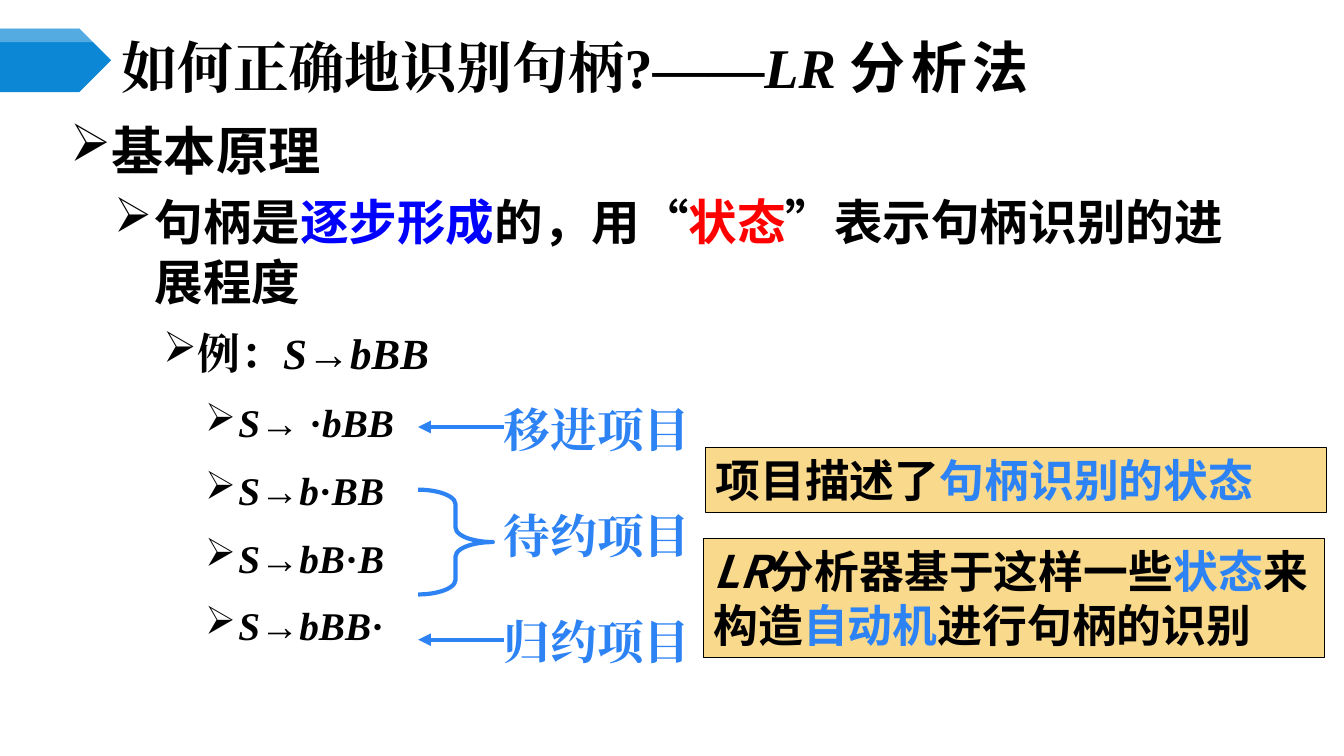
import lxml.etree
import pptx
import pptx.dml.color
import pptx.enum.shapes
import pptx.enum.text
import pptx.oxml
import pptx.oxml.ns
import pptx.util

Cm = pptx.util.Cm
Pt = pptx.util.Pt
SHAPES = pptx.enum.shapes.MSO_SHAPE
COLORS = {
    "black": "000000", "white": "FFFFFF", "red": "FF0000", "blue": "0000FF",
    "accent": "2D83F4", "banner": "0B87D6", "box": "F9D98C",
}
SANS = "Noto Sans CJK SC"
SERIF = "Times New Roman"
LEVELS = [
    {"size": 37.3, "margin": 1.02, "hanging": 1.02},
    {"size": 34.7, "margin": 2.13, "hanging": 1.02},
    {"size": 30.7, "margin": 3.18, "hanging": 0.84},
    {"size": 28, "margin": 4.24, "hanging": 0.84},
]


def rgb(name):
    return pptx.dml.color.RGBColor.from_string(COLORS[name])


def add_xml(parent, tag, **attributes):
    element = lxml.etree.SubElement(parent, pptx.oxml.ns.qn(tag))
    for key, value in attributes.items():
        element.set(key, str(value))
    return element


def add_run(paragraph, text, size=32, font=SANS, color="black", italic=False, spacing=0):
    run = paragraph.add_run()
    run.text = text
    run.font.size = Pt(size)
    run.font.bold = True
    run.font.italic = italic
    run.font.name = font
    run.font.color.rgb = rgb(color)
    properties = run.font._element
    add_xml(properties, "a:ea", typeface=font)
    if spacing:
        properties.set("spc", str(spacing * 100))


def add_runs(paragraph, runs, **shared):
    for text, changes in runs:
        add_run(paragraph, text, **{**shared, **changes})


def formula(*parts):
    return [(part, {"font": SERIF, "italic": part.isalpha()}) for part in parts]


def add_bullet(text_frame, level, runs):
    first = not text_frame.paragraphs[0].runs
    paragraph = text_frame.paragraphs[0] if first else text_frame.add_paragraph()
    style = LEVELS[level]
    paragraph.level = level
    paragraph.line_spacing = Pt(42.7)
    paragraph.space_before = Pt(0 if first else style["size"] * 0.2)
    properties = paragraph._p.get_or_add_pPr()
    properties.set("marL", str(Cm(style["margin"])))
    properties.set("indent", str(-Cm(style["hanging"])))
    add_xml(properties, "a:buChar", char="➢")
    add_runs(paragraph, runs, size=style["size"])


def add_plain_shape(slide, kind, left, top, width, height, fill=None, line=None, weight=0.75):
    shape = slide.shapes.add_shape(kind, Cm(left), Cm(top), Cm(width), Cm(height))
    shape.shadow.inherit = False
    if fill:
        shape.fill.solid()
        shape.fill.fore_color.rgb = rgb(fill)
    else:
        shape.fill.background()
    if line:
        shape.line.color.rgb = rgb(line)
        shape.line.width = Pt(weight)
    else:
        shape.line.fill.background()
    return shape


def add_banner(slide):
    add_plain_shape(slide, SHAPES.PENTAGON, 0, 0.72, 2.8, 1.6, fill="banner")
    gloss = add_plain_shape(slide, SHAPES.PENTAGON, 0, 0.72, 2.8, 0.34, fill="white")
    color = gloss.fill._xPr.find(".//" + pptx.oxml.ns.qn("a:srgbClr"))
    add_xml(color, "a:alpha", val=30000)


def add_title(slide, runs):
    title = slide.shapes.title
    title.left, title.top, title.width, title.height = Cm(2.8), Cm(1), Cm(29.36), Cm(1.32)
    frame = title.text_frame
    frame.auto_size = pptx.enum.text.MSO_AUTO_SIZE.NONE
    frame.vertical_anchor = pptx.enum.text.MSO_ANCHOR.MIDDLE
    paragraph = frame.paragraphs[0]
    paragraph.alignment = pptx.enum.text.PP_ALIGN.LEFT
    add_runs(paragraph, runs, size=40, font=SERIF)


def add_text_box(slide, left, top, width, height):
    box = slide.shapes.add_textbox(Cm(left), Cm(top), Cm(width), Cm(height))
    box.text_frame.word_wrap = True
    return box


def add_label(slide, text, top):
    label = add_text_box(slide, 12.7, top, 5.1, 1.6)
    label.text_frame.margin_left = label.text_frame.margin_right = 0
    paragraph = label.text_frame.paragraphs[0]
    paragraph.line_spacing = Pt(40.3)
    add_run(paragraph, text, size=33.3, font=SERIF, color="accent")
    return label


def add_arrow(slide, label):
    middle = label.top + label.height // 2
    arrow = slide.shapes.add_connector(
        pptx.enum.shapes.MSO_CONNECTOR.STRAIGHT, label.left, middle, Cm(10.54), middle)
    arrow.begin_connect(label, 1)
    arrow.line.color.rgb = rgb("accent")
    arrow.line.width = Pt(3)
    add_xml(arrow.line._get_or_add_ln(), "a:tailEnd", type="triangle")
    add_xml(arrow._element.spPr, "a:effectLst")


def add_note(slide, left, top, height, runs):
    note = add_plain_shape(slide, SHAPES.RECTANGLE, left, top, 15.65, height,
                           fill="box", line="black")
    note.text_frame.word_wrap = True
    note.text_frame.vertical_anchor = pptx.enum.text.MSO_ANCHOR.TOP
    paragraph = note.text_frame.paragraphs[0]
    paragraph.alignment = pptx.enum.text.PP_ALIGN.LEFT
    paragraph.line_spacing = Pt(38.6)
    add_runs(paragraph, runs)


def main():
    presentation = pptx.Presentation()
    presentation.slide_width, presentation.slide_height = Cm(33.87), Cm(19.05)
    slide = presentation.slides.add_slide(presentation.slide_layouts[5])
    accent = {"color": "accent"}

    add_banner(slide)
    add_title(slide, [("如何正确地识别句柄?——", {}), ("LR ", {"italic": True}),
                      ("分析法", {"font": SANS, "spacing": 4})])

    body = add_text_box(slide, 1.52, 2.92, 30.76, 11.94).text_frame
    add_bullet(body, 0, [("基本原理", {})])
    add_bullet(body, 1, [("句柄是", {}), ("逐步形成", {"color": "blue"}), ("的，用“", {}),
                         ("状态", {"color": "red"}), ("”表示句柄识别的进展程度", {})])
    add_bullet(body, 2, [("例：", {"font": SERIF})] + formula("S", "→", "bBB"))
    for item in [("S", "→ ·", "bBB"), ("S", "→", "b", "·", "BB"),
                 ("S", "→", "bB", "·", "B"), ("S", "→", "bBB", "·")]:
        add_bullet(body, 3, formula(*item))

    labels = [add_label(slide, text, 9.96 + index * 2.68)
              for index, text in enumerate(["移进项目", "待约项目", "归约项目"])]
    add_arrow(slide, labels[0])
    add_arrow(slide, labels[2])
    brace = add_plain_shape(slide, SHAPES.RIGHT_BRACE, 10.54, 12.34, 1.88, 2.64,
                            line="accent", weight=3)
    brace.adjustments[0] = 0.195

    add_note(slide, 17.73, 13.56, 3, [
        ("LR", {"italic": True}), ("分析器基于这样一些", {}), ("状态", accent),
        ("来构造", {}), ("自动机", accent), ("进行句柄的识别", {})])
    add_note(slide, 17.78, 11.28, 1.63, [("项目描述了", {}), ("句柄识别的状态", accent)])
    presentation.save("out.pptx")


if __name__ == "__main__":
    main()
